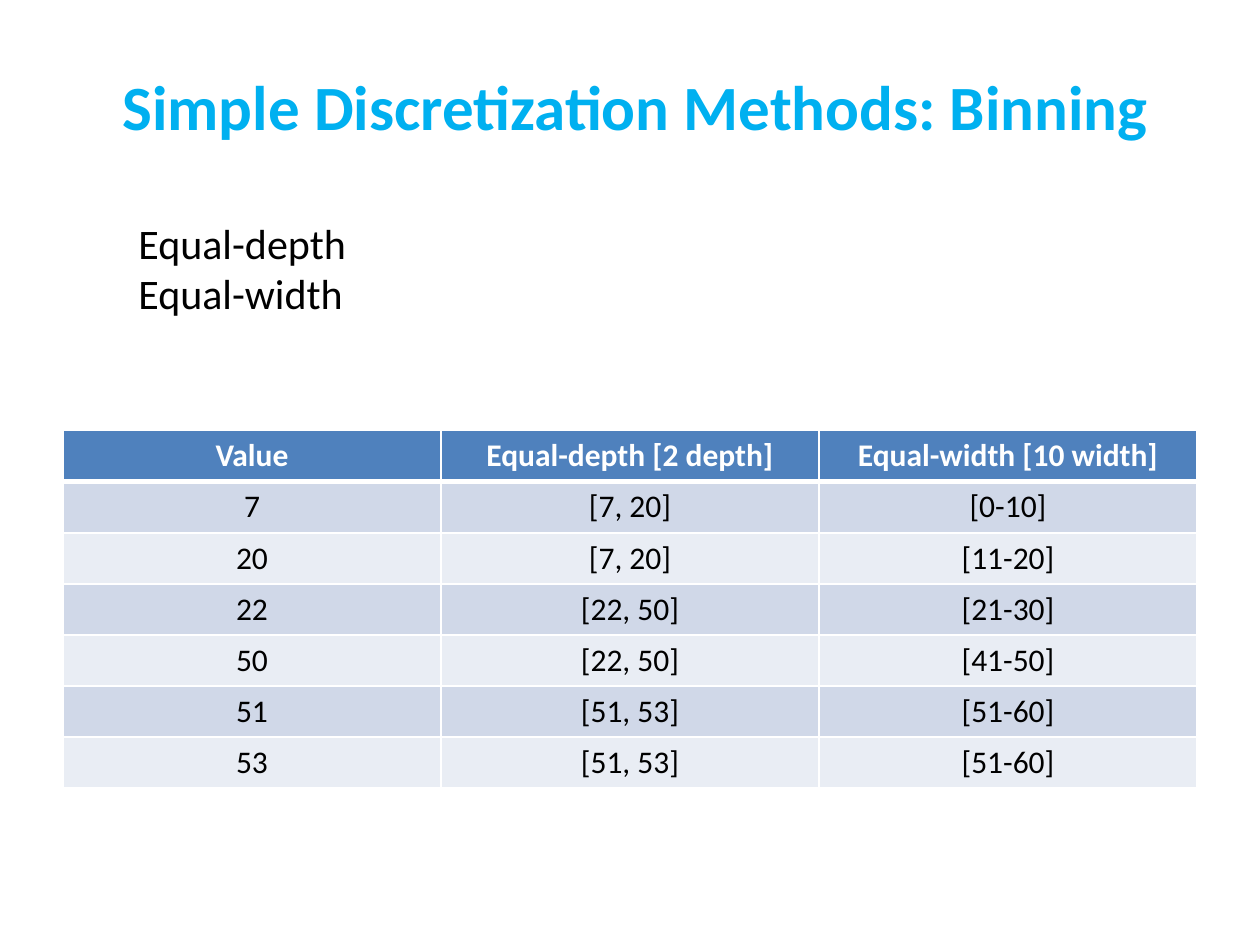
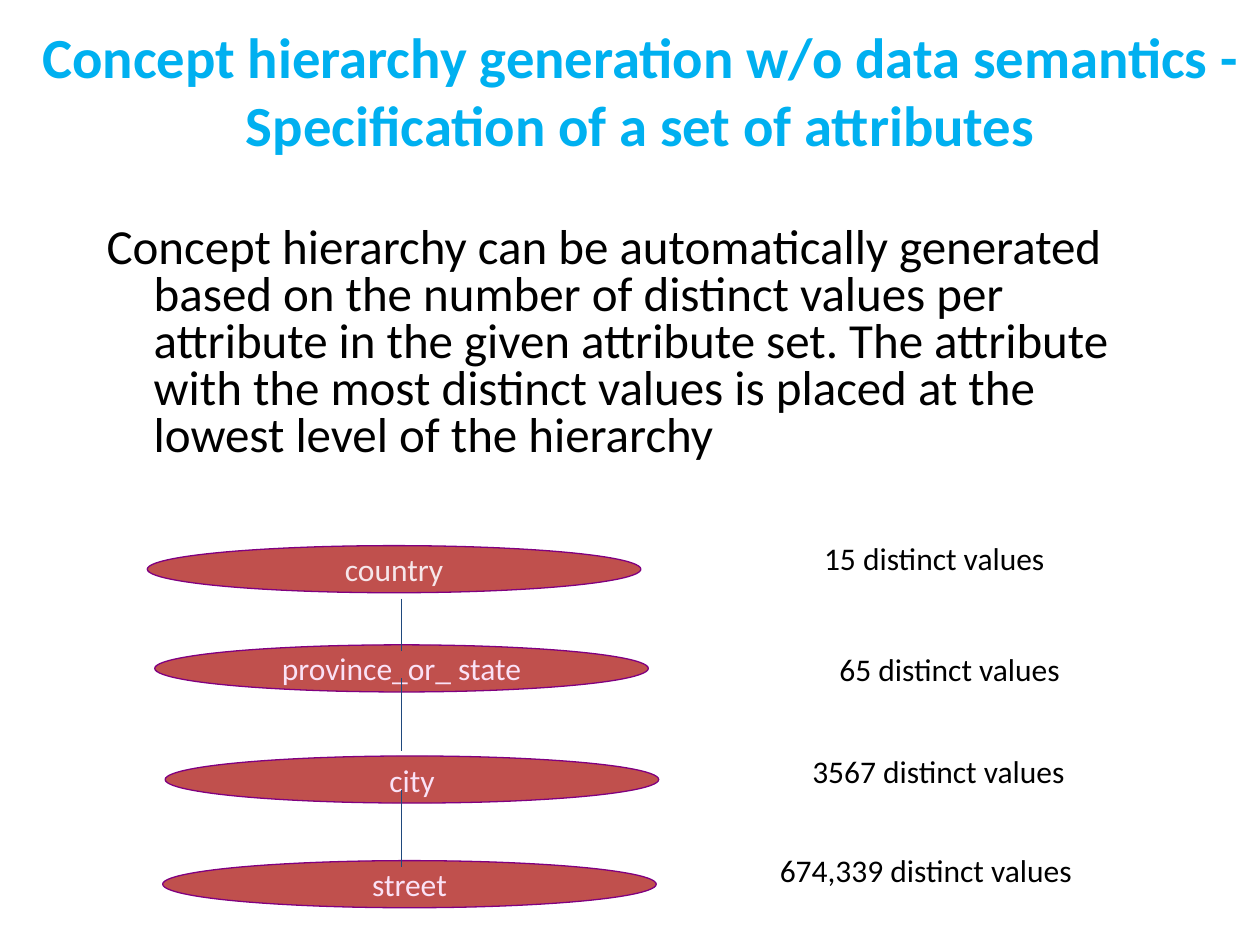
from pptx import Presentation
from pptx.dml.color import RGBColor
from pptx.enum.shapes import MSO_CONNECTOR, MSO_SHAPE
from pptx.enum.text import MSO_ANCHOR, MSO_AUTO_SIZE, PP_ALIGN
from pptx.oxml import parse_xml
from pptx.oxml.ns import nsdecls
from pptx.util import Cm, Pt

FONT = "Calibri"
BLACK, WHITE = "000000", "FFFFFF"
TITLE_BLUE = "00B0F0"
HEADER_FILL, BANDS = "4F81BD", ("D0D8E8", "E9EDF4")
OVAL_FILL, OVAL_LINE, LINK_LINE = "C0504D", "800080", "1F497D"
LEVEL_PINK, LEVEL_PALE = "FAE2F6", "F6E6EA"

BINS = [
    ("Value", "Equal-depth [2 depth]", "Equal-width [10 width]"),
    ("7", "[7, 20]", "[0-10]"),
    ("20", "[7, 20]", "[11-20]"),
    ("22", "[22, 50]", "[21-30]"),
    ("50", "[22, 50]", "[41-50]"),
    ("51", "[51, 53]", "[51-60]"),
    ("53", "[51, 53]", "[51-60]"),
]

# level name, text colour, oval left and top, count, label box (left, top, width, wrap)
LEVELS = [
    ("country", LEVEL_PALE, 2.97, 11.0,
     "15 distinct values", (15.62, 10.74, 6.43, False)),
    ("province_or_ state", LEVEL_PINK, 3.12, 13.0,
     "65 distinct values", (15.93, 12.98, 6.43, True)),
    ("city", LEVEL_PINK, 3.33, 15.24,
     "3567 distinct values", (15.29, 15.04, 7.26, False)),
    ("street", LEVEL_PINK, 3.28, 17.35,
     "674,339 distinct values", (14.5, 17.04, 8.33, False)),
]
LINK_X = 8.1
LINKS = [(12.07, 13.13), (13.67, 15.14), (15.93, 17.48)]


def rgb(value):
    return RGBColor.from_string(value)


def write(tf, text, size=18, color=BLACK, bold=False, align=None,
          wrap=True, anchor=None):
    """Fill a text frame, one paragraph for each line of text."""
    tf.word_wrap = wrap
    if anchor is not None:
        tf.vertical_anchor = anchor
    for i, line in enumerate(text.split("\n")):
        p = tf.paragraphs[0] if i == 0 else tf.add_paragraph()
        p.alignment = align
        r = p.add_run()
        r.text = line
        r.font.name, r.font.size, r.font.bold = FONT, Pt(size), bold
        r.font.color.rgb = rgb(color)


def add_slide(prs, title, left, top, width, height, size):
    s = prs.slides.add_slide(prs.slide_layouts[5])
    sp = s.shapes.title
    sp.left, sp.top, sp.width, sp.height = Cm(left), Cm(top), Cm(width), Cm(height)
    sp.text_frame.auto_size = MSO_AUTO_SIZE.NONE
    write(sp.text_frame, title, size=size, color=TITLE_BLUE, bold=True,
          align=PP_ALIGN.CENTER, anchor=MSO_ANCHOR.MIDDLE)
    return s


def add_text(s, text, left, top, width, height, **fmt):
    sp = s.shapes.add_textbox(Cm(left), Cm(top), Cm(width), Cm(height))
    write(sp.text_frame, text, **fmt)
    return sp.text_frame


def set_borders(cell, widths):
    """Give a cell white borders; widths maps a side to points."""
    tcPr = cell._tc.get_or_add_tcPr()
    for i, side in enumerate("LRTB"):
        tcPr.insert(i, parse_xml(
            f'<a:ln{side} {nsdecls("a")} w="{Pt(widths[side])}"><a:solidFill>'
            f'<a:srgbClr val="{WHITE}"/></a:solidFill></a:ln{side}>'))


def add_bin_table(s, rows, left, top, col_width, row_height):
    n_cols = len(rows[0])
    table = s.shapes.add_table(
        len(rows), n_cols, Cm(left), Cm(top),
        Cm(col_width * n_cols), Cm(row_height * len(rows))).table
    for column in table.columns:
        column.width = Cm(col_width)
    for i, row in enumerate(rows):
        table.rows[i].height = Cm(row_height)
        header = i == 0
        for j, text in enumerate(row):
            cell = table.cell(i, j)
            cell.fill.solid()
            cell.fill.fore_color.rgb = rgb(HEADER_FILL if header else BANDS[(i - 1) % 2])
            write(cell.text_frame, text, color=WHITE if header else BLACK,
                  bold=header, align=PP_ALIGN.CENTER)
            # The rule under the header is thicker
            set_borders(cell, {"L": 1, "R": 1, "T": 3 if i == 1 else 1,
                               "B": 3 if header else 1})


def add_oval(s, text, color, left, top):
    sp = s.shapes.add_shape(MSO_SHAPE.OVAL, Cm(left), Cm(top), Cm(9.95), Cm(0.95))
    sp.shadow.inherit = False
    sp.fill.solid()
    sp.fill.fore_color.rgb = rgb(OVAL_FILL)
    sp.line.color.rgb = rgb(OVAL_LINE)
    sp.line.width = Pt(0.75)
    write(sp.text_frame, text, color=color, align=PP_ALIGN.CENTER,
          wrap=False, anchor=MSO_ANCHOR.MIDDLE)


def add_link(s, x, top, bottom):
    line = s.shapes.add_connector(
        MSO_CONNECTOR.STRAIGHT, Cm(x), Cm(top), Cm(x), Cm(bottom))
    line.line.color.rgb = rgb(LINK_LINE)
    line.line.width = Pt(0.75)
    line._element.spPr.append(parse_xml(f'<a:effectLst {nsdecls("a")}/>'))


def binning_slide(prs):
    s = add_slide(prs, "Simple Discretization Methods: Binning",
                  1.06, 0.85, 23.5, 2.54, 36)
    add_bin_table(s, BINS, 1.27, 8.68, 7.62, 1.03)
    add_text(s, "Equal-depth\nEqual-width", 2.54, 4.26, 4.75, 2.31,
             size=24, wrap=False)


def hierarchy_slide(prs):
    s = add_slide(prs, "Concept hierarchy generation w/o data semantics - "
                  "Specification of a set of attributes",
                  0.42, 0.64, 24.98, 2.33, 32.4)
    # Explanation with a hanging indent
    tf = add_text(s, "Concept hierarchy can be automatically generated based on "
                  "the number of distinct values per attribute in the given "
                  "attribute set. The attribute with the most distinct values is "
                  "placed at the lowest level of the hierarchy",
                  1.9, 4.45, 21.8, 5.29, size=28)
    p = tf.paragraphs[0]
    p.line_spacing = 0.8
    p.space_before = Pt(5.6)
    pPr = p._p.get_or_add_pPr()
    pPr.set("marL", str(Cm(0.95)))
    pPr.set("indent", str(-Cm(0.95)))
    # Hierarchy levels, the links between them, and their counts
    for name, color, left, top, _, _ in LEVELS:
        add_oval(s, name, color, left, top)
    for top, bottom in LINKS:
        add_link(s, LINK_X, top, bottom)
    for _, _, _, _, count, (left, top, width, wrap) in LEVELS:
        add_text(s, count, left, top, width, 1.27,
                 align=PP_ALIGN.CENTER, wrap=wrap)


def main():
    prs = Presentation()
    prs.slide_width, prs.slide_height = Cm(25.4), Cm(19.05)
    binning_slide(prs)
    hierarchy_slide(prs)
    prs.save("out.pptx")


main()
